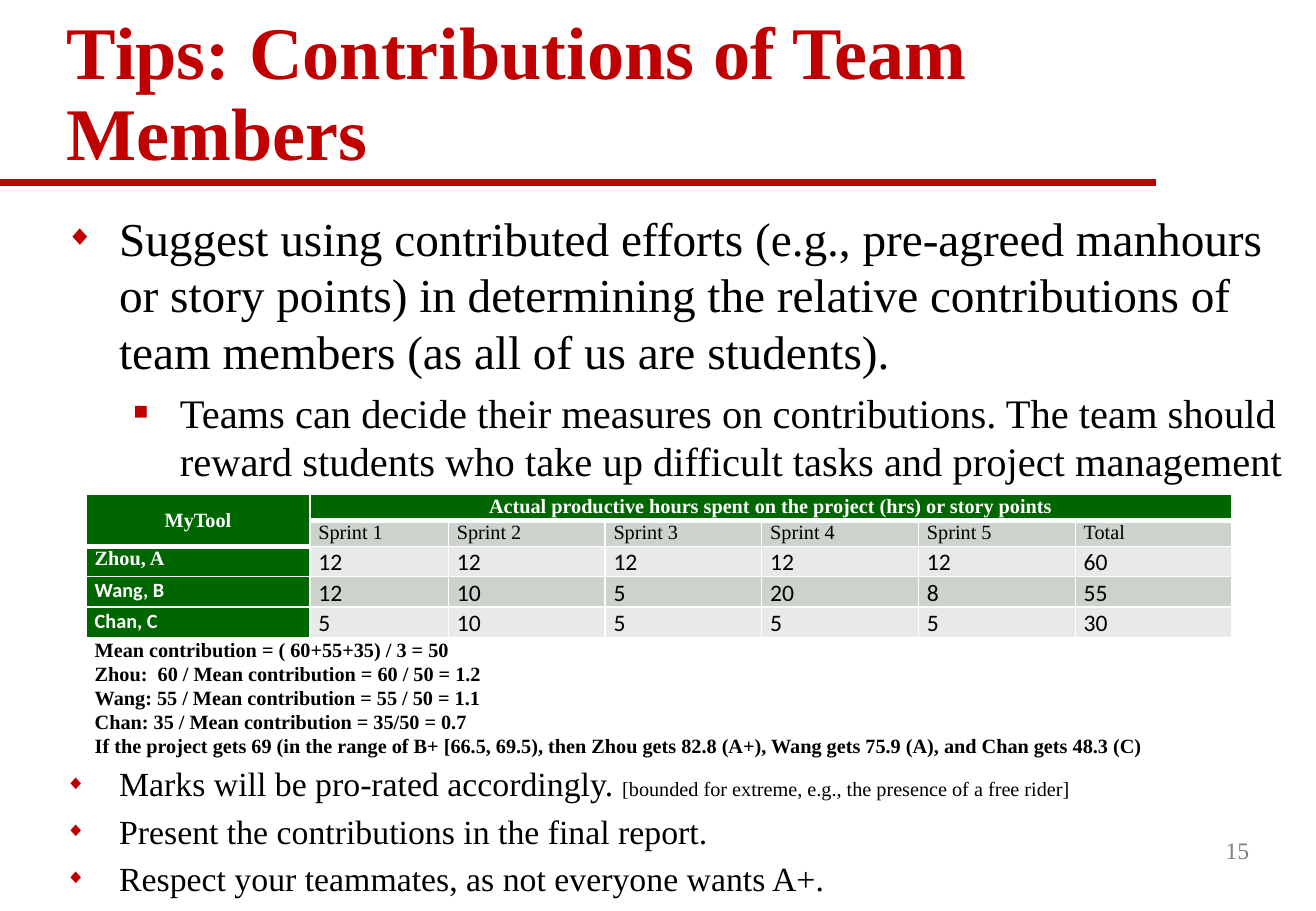
from lxml.etree import SubElement
from pptx import Presentation
from pptx.dml.color import RGBColor
from pptx.enum.shapes import MSO_CONNECTOR
from pptx.enum.text import MSO_ANCHOR, MSO_AUTO_SIZE, PP_ALIGN
from pptx.oxml.ns import qn
from pptx.util import Inches, Pt

RED = RGBColor(0xC0, 0x00, 0x00)
GREEN = RGBColor(0x00, 0x66, 0x00)
DARK_BAND = RGBColor(0xCC, 0xD3, 0xCC)
LIGHT_BAND = RGBColor(0xE7, 0xEA, 0xE7)
WHITE = RGBColor(0xFF, 0xFF, 0xFF)
BLACK = RGBColor(0x00, 0x00, 0x00)
GREY = RGBColor(0x80, 0x80, 0x80)
SERIF, SANS = "Times New Roman", "Calibri"

# level: (bullet, left indent, hanging indent)
BULLETS = {0: ("◆", 0.44, 0.44), 1: ("■", 0.94, 0.38)}


class SlideBuilder:
    def __init__(self, slide):
        self.s = slide

    def style(self, r, size, color=BLACK, bold=False, font=SERIF):
        f = r.font
        f.name, f.size, f.bold, f.color.rgb = font, Pt(size), bold, color

    def place(self, sp, box):
        sp.left, sp.top, sp.width, sp.height = map(Inches, box)
        return sp.text_frame

    def title(self, text, box):
        tf = self.place(self.s.shapes.title, box)
        tf.text = text
        tf.auto_size = MSO_AUTO_SIZE.NONE
        tf.vertical_anchor = MSO_ANCHOR.BOTTOM
        p = tf.paragraphs[0]
        p.alignment, p.line_spacing = PP_ALIGN.LEFT, 0.9
        self.style(p.runs[0], 44, RED, True)

    def rule(self, x1, x2, y):
        ln = self.s.shapes.add_connector(
            MSO_CONNECTOR.STRAIGHT, Inches(x1), Inches(y), Inches(x2), Inches(y))
        ln.line.color.rgb, ln.line.width = RED, Pt(4)
        SubElement(ln._element.spPr, qn("a:effectLst"))

    def bullet(self, p, level):
        char, left, hang = BULLETS[level]
        p.level = level
        pPr = p._p.get_or_add_pPr()
        pPr.set("marL", str(Inches(left)))
        pPr.set("indent", str(-Inches(hang)))
        SubElement(SubElement(pPr, qn("a:buClr")), qn("a:srgbClr"), val=str(RED))
        SubElement(pPr, qn("a:buSzPct"), val="60000")
        SubElement(pPr, qn("a:buFont"), typeface=SERIF)
        SubElement(pPr, qn("a:buChar"), char=char)

    def body(self, items, box):
        tf = self.place(self.s.placeholders[1], box)
        tf.auto_size = MSO_AUTO_SIZE.NONE
        for i, (level, before, runs) in enumerate(items):
            p = tf.add_paragraph() if i else tf.paragraphs[0]
            self.bullet(p, level)
            p.space_before = Pt(before)
            for text, size in runs:
                r = p.add_run()
                r.text = text
                self.style(r, size)

    def page_number(self, text, box):
        tf = self.s.shapes.add_textbox(*map(Inches, box)).text_frame
        tf.text = text
        tf.word_wrap = True
        tf.vertical_anchor = MSO_ANCHOR.MIDDLE
        tf.paragraphs[0].alignment = PP_ALIGN.RIGHT
        self.style(tf.paragraphs[0].runs[0], 14, GREY)

    def cell(self, c, text, fill, size=12, color=BLACK, bold=False, font=SERIF,
             align=PP_ALIGN.LEFT, bottom=1):
        tcPr = c._tc.get_or_add_tcPr()
        for side in "LRTB":
            width = Pt(bottom if side == "B" else 1)
            ln = SubElement(tcPr, qn("a:ln" + side), w=str(width))
            SubElement(SubElement(ln, qn("a:solidFill")), qn("a:srgbClr"), val=str(WHITE))
        c.fill.solid()
        c.fill.fore_color.rgb = fill
        c.margin_left = c.margin_right = Inches(0.07)
        c.margin_top = c.margin_bottom = 0
        c.text_frame.text = text
        for p in c.text_frame.paragraphs:
            p.alignment, p.line_spacing = align, 1.07
            for r in p.runs:
                self.style(r, size, color, bold, font)

    def hours_table(self, box, cols, rows, heading, sprints, members, notes):
        t = self.s.shapes.add_table(len(rows), len(cols), *map(Inches, box)).table
        for col, w in zip(t.columns, cols):
            col.width = Inches(w)
        for row, h in zip(t.rows, rows):
            row.height = Inches(h)
        last = len(rows) - 1
        t.cell(0, 0).merge(t.cell(1, 0))
        t.cell(0, 1).merge(t.cell(0, len(cols) - 1))
        t.cell(last, 0).merge(t.cell(last, len(cols) - 1))
        # Header rows
        for c, text in enumerate(heading):
            self.cell(t.cell(0, c), text, GREEN, 12, WHITE, True,
                      align=PP_ALIGN.CENTER, bottom=3)
        t.cell(0, 0).vertical_anchor = MSO_ANCHOR.MIDDLE
        for c, text in enumerate(sprints, 1):
            self.cell(t.cell(1, c), text, DARK_BAND)
        # Member rows, each closed by its total
        for i, (name, font, hours) in enumerate(members):
            self.cell(t.cell(i + 2, 0), name, GREEN, 12, WHITE, True, font)
            band = DARK_BAND if i % 2 else LIGHT_BAND
            for c, value in enumerate(hours + [sum(hours)], 1):
                self.cell(t.cell(i + 2, c), str(value), band, 14, font=SANS)
        # Worked example
        self.cell(t.cell(last, 0), "\n".join(notes), WHITE, bold=True)


def main():
    prs = Presentation()
    prs.slide_width, prs.slide_height = Inches(10.83), Inches(7.5)
    b = SlideBuilder(prs.slides.add_slide(prs.slide_layouts[1]))

    # Heading
    b.rule(0, 9.51, 1.5)
    b.title("Tips: Contributions of Team Members", (0.45, 0.29, 9.88, 1.21))

    # Advice, with room for the table between the second and third items
    b.body([
        (0, 0, [("Suggest using contributed efforts (e.g., pre-agreed manhours or story "
                 "points) in determining the relative contributions of team members "
                 "(as all of us are students).", 28)]),
        (1, 5, [("Teams can decide their measures on contributions. The team should "
                 "reward students who take up difficult tasks and project management", 24)]),
        (0, 165, [("Marks will be pro-rated accordingly. ", 20),
                  ("[bounded for extreme, e.g., the presence of a free rider]", 12)]),
        (0, 4, [("Present the contributions in the final report.", 20)]),
        (0, 4, [("Respect your teammates, as not everyone wants A+.", 20)]),
    ], (0.44, 1.67, 10.3, 5.42))
    b.page_number("15", (8.12, 6.75, 2.26, 0.5))

    # Hours table
    b.hours_table(
        (0.71, 4.07, 9.42, 2.18),
        [1.84, 1.14] + [1.29] * 5,
        [0.18, 0.18, 0.15, 0.21, 0.21, 0.95],
        ["MyTool", "Actual productive hours spent on the project (hrs) or story points"],
        [f"Sprint {n}" for n in range(1, 6)] + ["Total"],
        [("Zhou, A", SERIF, [12, 12, 12, 12, 12]),
         ("Wang, B", SANS, [12, 10, 5, 20, 8]),
         ("Chan, C", SANS, [5, 10, 5, 5, 5])],
        ["Mean contribution = ( 60+55+35) / 3 = 50",
         "Zhou:  60 / Mean contribution = 60 / 50 = 1.2",
         "Wang: 55 / Mean contribution = 55 / 50 = 1.1",
         "Chan: 35 / Mean contribution = 35/50 = 0.7",
         "If the project gets 69 (in the range of B+ [66.5, 69.5), then Zhou gets 82.8 (A+), "
         "Wang gets 75.9 (A), and Chan gets 48.3 (C)"])

    prs.save("out.pptx")


if __name__ == "__main__":
    main()
